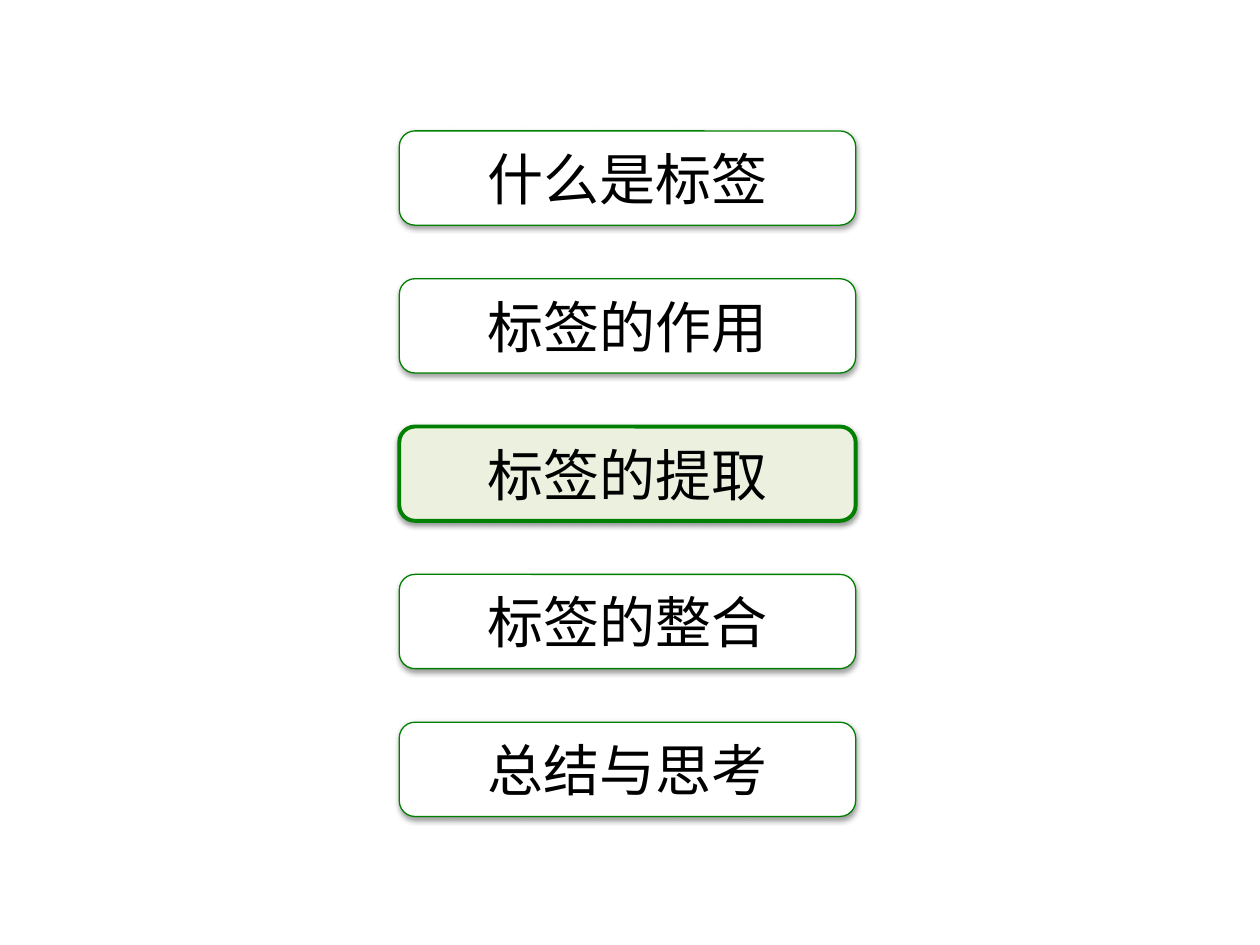
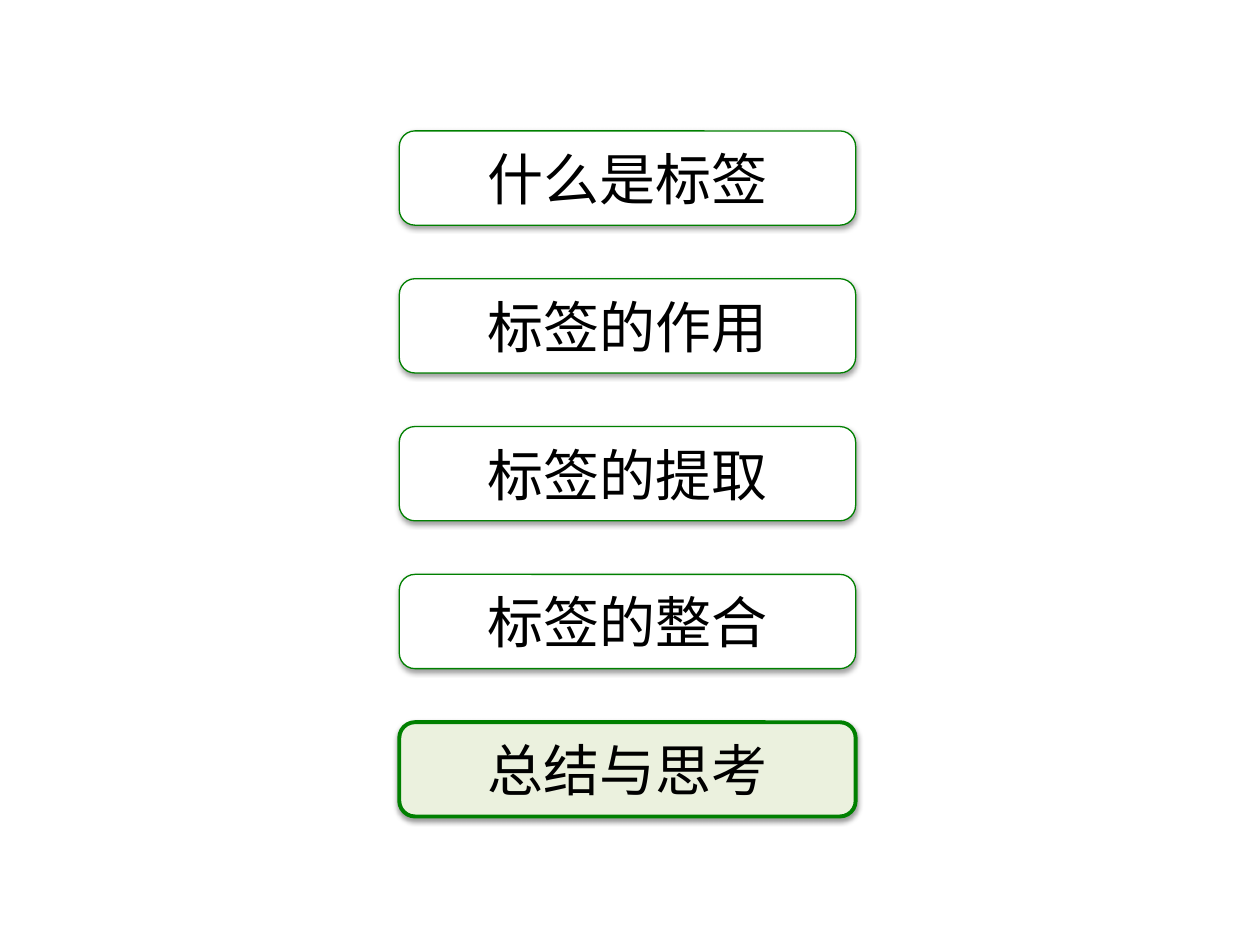
from dataclasses import dataclass

from lxml.etree import SubElement
from pptx import Presentation
from pptx.dml.color import RGBColor
from pptx.enum.shapes import MSO_SHAPE
from pptx.enum.text import MSO_ANCHOR, PP_ALIGN
from pptx.oxml.ns import qn
from pptx.util import Cm, Pt


@dataclass(frozen=True)
class Theme:
    font: str = "Noto Sans CJK JP"
    text_size: Pt = Pt(32)
    text: RGBColor = RGBColor(0x00, 0x00, 0x00)
    border: RGBColor = RGBColor(0x00, 0x80, 0x00)
    plain_fill: RGBColor = RGBColor(0xFF, 0xFF, 0xFF)
    active_fill: RGBColor = RGBColor(0xEB, 0xF1, 0xDE)
    plain_border: Pt = Pt(0.75)
    active_border: Pt = Pt(2.25)


THEME = Theme()
SECTIONS = ["什么是标签", "标签的作用", "标签的提取", "标签的整合", "总结与思考"]
ACTIVE_SECTIONS = ["标签的提取", "总结与思考"]

BOX_LEFT, BOX_WIDTH, BOX_HEIGHT = Cm(8.05), Cm(9.2), Cm(1.9)
FIRST_TOP, BOX_PITCH = Cm(2.64), Cm(2.98)


def add_soft_shadow(box):
    """Give the box a faint shadow that falls straight down."""
    box.shadow.inherit = False
    effects = box._element.spPr.find(qn("a:effectLst"))
    shadow = SubElement(effects, qn("a:outerShdw"), blurRad=str(Pt(3.1)),
                        dist=str(Pt(1.6)), dir="5400000", rotWithShape="0")
    color = SubElement(shadow, qn("a:srgbClr"), val="000000")
    SubElement(color, qn("a:alpha"), val="38000")


def write_label(box, label):
    frame = box.text_frame
    frame.text = label
    frame.word_wrap = True
    frame.vertical_anchor = MSO_ANCHOR.MIDDLE
    para = frame.paragraphs[0]
    para.alignment = PP_ALIGN.CENTER
    span = para.runs[0]
    span.font.size = THEME.text_size
    span.font.color.rgb = THEME.text
    span.font.name = THEME.font
    SubElement(span._r.get_or_add_rPr(), qn("a:ea"), typeface=THEME.font)


def add_section_box(page, label, top, active):
    box = page.shapes.add_shape(MSO_SHAPE.ROUNDED_RECTANGLE,
                                BOX_LEFT, top, BOX_WIDTH, BOX_HEIGHT)
    box.fill.solid()
    box.fill.fore_color.rgb = THEME.active_fill if active else THEME.plain_fill
    box.line.color.rgb = THEME.border
    box.line.width = THEME.active_border if active else THEME.plain_border
    add_soft_shadow(box)
    write_label(box, label)


def add_agenda_page(deck, active_section):
    """Add a page that lists all sections and highlights one of them."""
    blank_layout = deck.slide_layouts[6]
    page = deck.slides.add_slide(blank_layout)
    for row, section in enumerate(SECTIONS):
        add_section_box(page, section, FIRST_TOP + row * BOX_PITCH,
                        section == active_section)


def main():
    deck = Presentation()
    deck.slide_width, deck.slide_height = Cm(25.4), Cm(19.05)
    for section in ACTIVE_SECTIONS:
        add_agenda_page(deck, section)
    deck.save("out.pptx")


if __name__ == "__main__":
    main()
